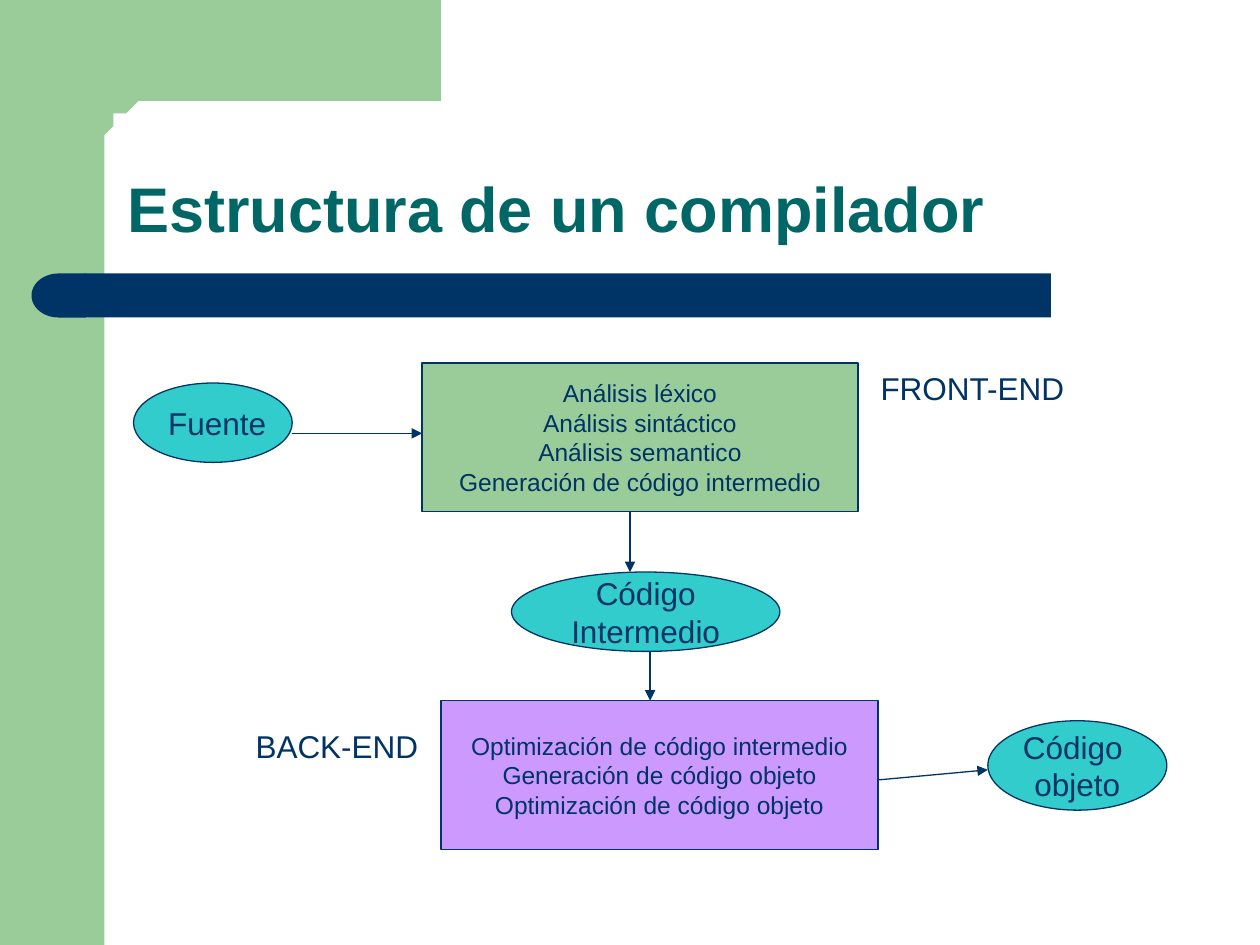
import math
from dataclasses import dataclass

import pptx
import pptx.dml.color
import pptx.enum.shapes
import pptx.enum.text
import pptx.oxml
import pptx.oxml.ns
import pptx.util

# Grid: 100 columns by 75 rows on a 10 x 7.5 inch slide
CELL = pptx.util.Inches(0.1)
NAVY, GREEN, TEAL = "003366", "99CC99", "006666"
CYAN, LILAC = "33CCCC", "CC99FF"
KIND = pptx.enum.shapes.MSO_SHAPE
ALIGN = pptx.enum.text.PP_ALIGN
ANCHOR = pptx.enum.text.MSO_ANCHOR
FIT = pptx.enum.text.MSO_AUTO_SIZE


@dataclass
class Area:
    col: float
    row: float
    cols: float
    rows: float

    def box(self) -> list[int]:
        return [grid(n) for n in (self.col, self.row, self.cols, self.rows)]


@dataclass
class Node:
    kind: int
    area: Area
    fill: str
    size: int
    text: str


@dataclass
class Arrow:
    start: tuple[float, float]
    end: tuple[float, float]


@dataclass
class Label:
    area: Area
    text: str


NODES = [
    Node(KIND.RECTANGLE, Area(33.5, 28.8, 34.6, 11.8), GREEN, 14,
         "Análisis léxico\nAnálisis sintáctico\nAnálisis semantico\n"
         "Generación de código intermedio"),
    Node(KIND.OVAL, Area(10.6, 30.4, 12.6, 6.3), CYAN, 18, " Fuente"),
    Node(KIND.RECTANGLE, Area(35, 55.6, 34.7, 11.8), LILAC, 14,
         "Optimización de código intermedio\nGeneración de código objeto\n"
         "Optimización de código objeto"),
    Node(KIND.OVAL, Area(40.6, 45.4, 21.3, 6.3), CYAN, 18,
         "Código\nIntermedio"),
    Node(KIND.OVAL, Area(78.4, 57.2, 14.2, 7.1), CYAN, 18,
         "Código \nobjeto"),
]
ARROWS = [
    Arrow((23.2, 34.4), (33.5, 34.4)),
    Arrow((50, 40.6), (50, 45.4)),
    Arrow((51.6, 51.7), (51.6, 55.6)),
    Arrow((69.7, 61.9), (78.4, 61.1)),
]
LABELS = [
    Label(Area(19.3, 57.2, 15, 4), "BACK-END"),
    Label(Area(68.9, 28.8, 18.9, 4), "FRONT-END"),
]


def grid(count: float) -> int:
    return round(count * CELL)


def color(code: str) -> pptx.dml.color.RGBColor:
    return pptx.dml.color.RGBColor.from_string(code)


def write(frame, text: str, size: int, tint: str = NAVY,
          align=ALIGN.LEFT, bold: bool = False) -> None:
    frame.text = text
    for para in frame.paragraphs:
        para.alignment = align
        for run in para.runs:
            font = run.font
            font.name, font.size, font.bold = "Arial", pptx.util.Pt(size), bold
            font.color.rgb = color(tint)


def paint(shape, fill: str) -> None:
    shape.shadow.inherit = False
    shape.fill.solid()
    shape.fill.fore_color.rgb = color(fill)
    shape.line.fill.background()


def ink(line) -> None:
    line.color.rgb = color(NAVY)
    line.width = pptx.util.Pt(0.75)


def add_block(slide, kind: int, area: Area, fill: str):
    shape = slide.shapes.add_shape(kind, *area.box())
    paint(shape, fill)
    return shape


def add_corner(slide) -> None:
    # Top band with a rounded inner corner
    mid, rad = 11.6, 3.3
    turns = [math.radians(a) for a in range(90, 181, 6)]
    curve = [(mid + rad * math.cos(t), mid - rad * math.sin(t)) for t in turns]
    path = slide.shapes.build_freeform(5, 0, scale=CELL)
    path.add_line_segments(
        [(35, 0), (35, 8.3), *curve, (8.3, 12.8), (5, 12.8)], close=True)
    paint(path.convert_to_shape(), GREEN)


def add_node(slide, node: Node) -> None:
    shape = add_block(slide, node.kind, node.area, node.fill)
    ink(shape.line)
    frame = shape.text_frame
    frame.word_wrap = False
    frame.vertical_anchor = ANCHOR.MIDDLE
    write(frame, node.text, node.size, align=ALIGN.CENTER)


def add_arrow(slide, arrow: Arrow) -> None:
    ends = [grid(n) for n in (*arrow.start, *arrow.end)]
    link = slide.shapes.add_connector(
        pptx.enum.shapes.MSO_CONNECTOR.STRAIGHT, *ends)
    ink(link.line)
    tag = pptx.oxml.ns.qn
    head = link.line._get_or_add_ln().makeelement(
        tag("a:tailEnd"), {"type": "triangle"})
    link.line._get_or_add_ln().append(head)
    props = link._element.spPr
    props.append(props.makeelement(tag("a:effectLst"), {}))


def add_label(slide, label: Label) -> None:
    frame = slide.shapes.add_textbox(*label.area.box()).text_frame
    frame.word_wrap = True
    frame.auto_size = FIT.SHAPE_TO_FIT_TEXT
    write(frame, label.text, 18)


def set_title(slide, text: str) -> None:
    title = slide.shapes.title
    area = Area(9.1, 9.1, 85.1, 10.9)
    title.left, title.top, title.width, title.height = area.box()
    frame = title.text_frame
    frame.auto_size = FIT.NONE
    frame.vertical_anchor = ANCHOR.BOTTOM
    write(frame, text, 36, TEAL, bold=True)
    frame.paragraphs[0].line_spacing = 0.9


def main() -> None:
    deck = pptx.Presentation()
    deck.slide_width, deck.slide_height = grid(100), grid(75)
    slide = deck.slides.add_slide(deck.slide_layouts[5])

    # Frame and title bar
    add_block(slide, KIND.RECTANGLE, Area(0, 0, 8.3, 75), GREEN)
    add_corner(slide)
    add_block(slide, KIND.RECTANGLE, Area(6.7, 21.7, 76.7, 3.5), NAVY)
    cap = add_block(slide, KIND.FLOWCHART_DELAY,
                    Area(2.5, 21.7, 4.3, 3.5), NAVY)
    cap.rotation = 180
    set_title(slide, "Estructura de un compilador")

    # Compiler stages
    for node in NODES:
        add_node(slide, node)
    for arrow in ARROWS:
        add_arrow(slide, arrow)
    for label in LABELS:
        add_label(slide, label)

    deck.save("out.pptx")


if __name__ == "__main__":
    main()
